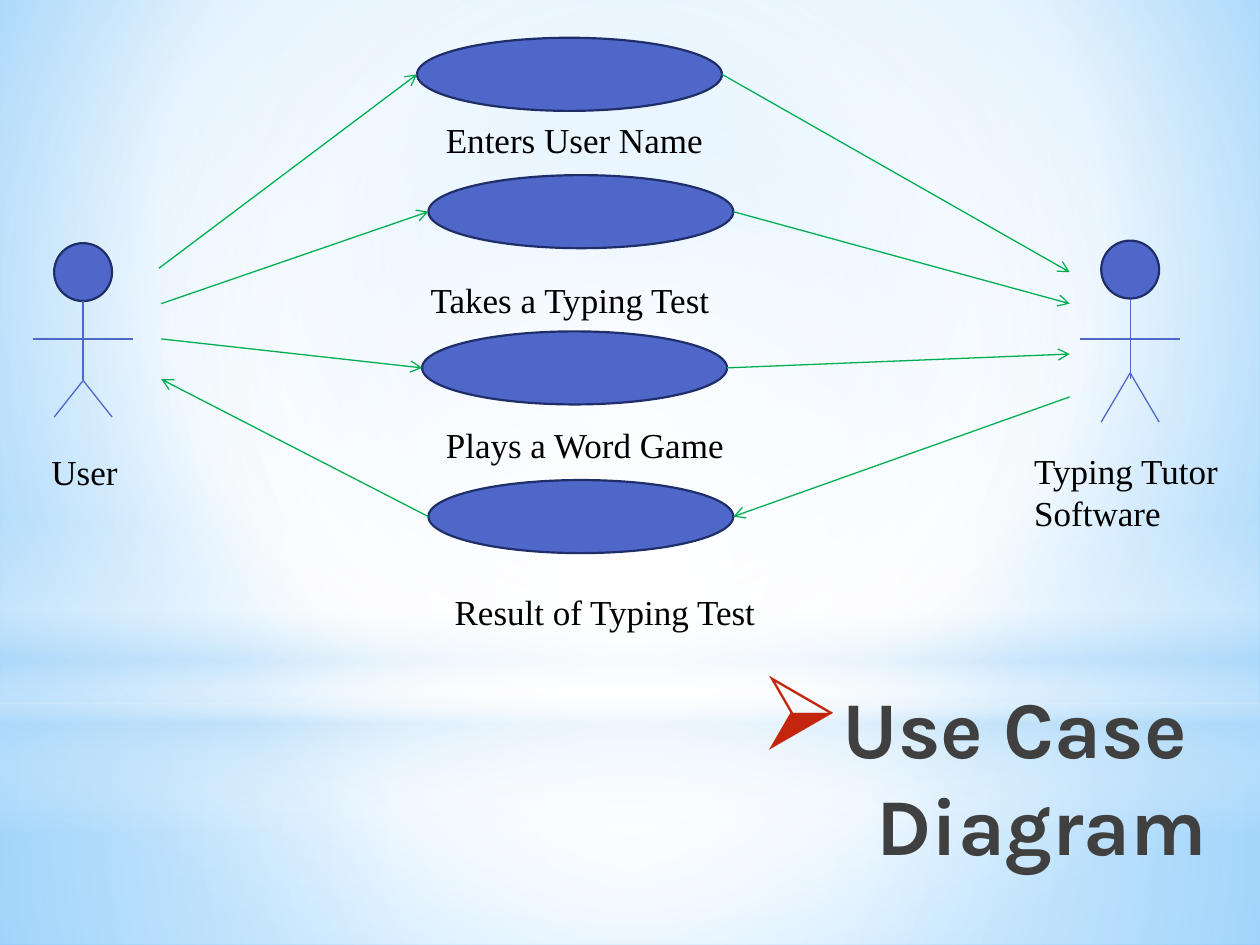
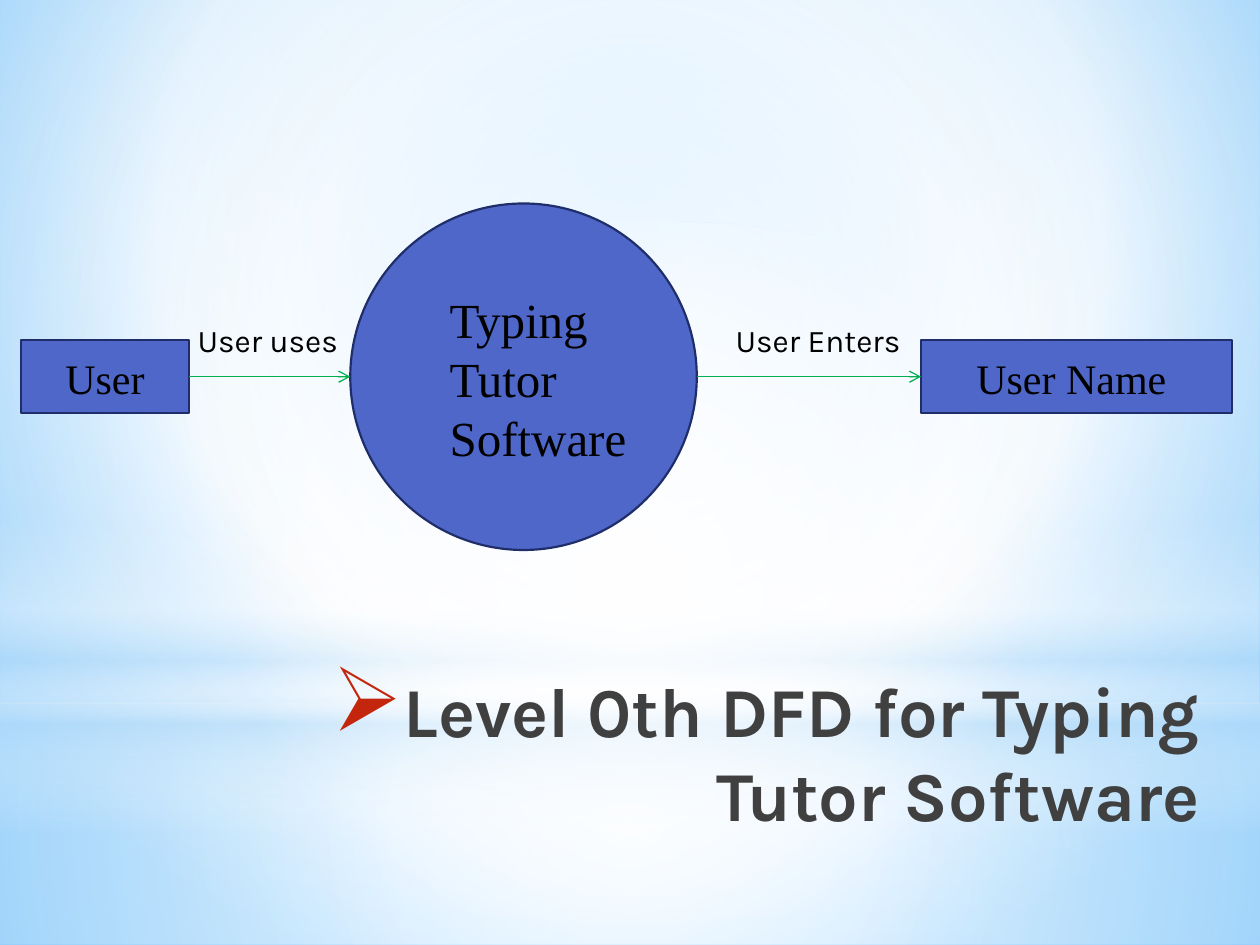
from dataclasses import dataclass
from typing import Any, NamedTuple, Optional

from lxml.etree import SubElement
from pptx import Presentation
from pptx.dml.color import RGBColor
from pptx.enum.shapes import MSO_CONNECTOR, MSO_SHAPE
from pptx.enum.text import MSO_ANCHOR, MSO_AUTO_SIZE, PP_ALIGN
from pptx.oxml.ns import qn
from pptx.util import Inches, Pt


class Stop(NamedTuple):
    position: int
    color: str
    opacity: int = 100


class Gradient(NamedTuple):
    stops: tuple[Stop, ...]
    focus: Optional[tuple[int, int, int, int]] = None  # left, top, right, bottom
    angle: int = 90


class Point(NamedTuple):
    col: float
    row: float


class Area(NamedTuple):
    col: float
    row: float
    cols: float
    rows: float

    @property
    def left_middle(self) -> Point:
        return Point(self.col, self.row + self.rows / 2)

    @property
    def right_middle(self) -> Point:
        return Point(self.col + self.cols, self.row + self.rows / 2)


@dataclass(frozen=True)
class Theme:
    fill: str = "4E67C8"
    outline: str = "1F2E69"
    flow: str = "00B050"
    ink: str = "000000"
    bullet: str = "C3260C"
    heading_font: str = "Karla"
    label_font: str = "Times New Roman"
    caption_size: int = 20
    flow_size: int = 18
    entity_size: int = 24
    process_size: int = 28
    outline_width: float = 1.25
    line_width: float = 0.75
    title_ink: Gradient = Gradient(
        (Stop(0, "000000"), Stop(40, "404040"), Stop(100, "212745", 65)))
    sky: Gradient = Gradient(
        (Stop(0, "9ED5FF"), Stop(60, "FFFFFF"), Stop(100, "5BB9FF")), (20, 10, 20, 60))


THEME = Theme()
CENTER = (50, 50, 50, 50)

# The slide is a grid of 100 columns by 75 rows
SLIDE_WIDTH, SLIDE_HEIGHT = Inches(10), Inches(7.5)
COLUMN, ROW = SLIDE_WIDTH / 100, SLIDE_HEIGHT / 75

# Light bands of the master, from back to front
BANDS = (
    (MSO_SHAPE.RECTANGLE, Area(0, 55.8, 100, 19.2), Gradient(
        (Stop(0, "FFFFFF", 91), Stop(37, "FFFFFF", 76), Stop(100, "B4DCFA", 79)), CENTER)),
    (MSO_SHAPE.RECTANGLE, Area(0, 0, 100, 55.8), Gradient(
        (Stop(0, "FFFFFF", 89), Stop(48, "FFFFFF", 62), Stop(100, "B4DCFA", 79)), CENTER)),
    (MSO_SHAPE.RECTANGLE, Area(0, 41.2, 100, 25), Gradient(
        (Stop(0, "FFFFFF", 0), Stop(29, "FFFFFF", 30), Stop(45, "B4DCFA", 40),
         Stop(55, "FFFFFF", 26), Stop(65, "B4DCFA", 60), Stop(100, "FFFFFF", 0)))),
    (MSO_SHAPE.OVAL, Area(0, 17.5, 100, 55.8), Gradient(
        (Stop(0, "FFFFFF"), Stop(56, "FFFFFF", 0)), CENTER)),
)


class UseCase(NamedTuple):
    oval: Area
    label: str
    label_area: Area
    user_end: Point
    software_end: Point
    returns: bool = False


class Actor(NamedTuple):
    name: str
    name_area: Area
    center: float
    head_top: float
    body_end: float
    hip: float
    feet: float


OVAL_SIZE = (24.2, 5.8)
USE_CASES = (
    UseCase(Area(33.1, 3, *OVAL_SIZE), "Enters User Name", Area(34.4, 8.9, 23.2, 4.4),
            Point(12.6, 21.3), Point(84.9, 21.6)),
    UseCase(Area(34, 13.9, *OVAL_SIZE), "Takes a Typing Test", Area(33.2, 21.6, 29, 4.4),
            Point(12.8, 24.1), Point(84.9, 24.1)),
    UseCase(Area(33.5, 26.3, *OVAL_SIZE), "Plays a Word Game", Area(34.4, 33.1, 27.8, 4.4),
            Point(12.8, 26.9), Point(84.9, 28.1)),
    UseCase(Area(34, 38.1, *OVAL_SIZE), "Result of Typing Test", Area(35.1, 46.4, 27.3, 4.4),
            Point(12.8, 30.1), Point(84.9, 31.5), returns=True),
)
ACTORS = (
    Actor("User", Area(3.1, 35.3, 11.6, 4.4), 6.6, 19.3, 30.2, 30.2, 33.1),
    Actor("Typing Tutor Software", Area(81.1, 35.2, 19.5, 7.7), 89.7, 19.1, 30.1, 29.6, 33.5),
)
HEAD, ARM_REACH, FOOT_REACH, ARM_ROW = 4.6, 3.95, 2.3, 26.9


def apply(target: Any, values: dict[str, Any]) -> None:
    for attribute, value in values.items():
        setattr(target, attribute, value)


def place(area: Area) -> tuple[int, int, int, int]:
    return (round(area.col * COLUMN), round(area.row * ROW),
            round(area.cols * COLUMN), round(area.rows * ROW))


def paint_gradient(fill: Any, holder: Any, gradient: Gradient) -> None:
    """Swap the solid fill inside holder for a gradient."""
    fill.solid()
    fill.fore_color.rgb = RGBColor.from_string(gradient.stops[0].color)
    solid = holder.find(qn("a:solidFill"))
    grad = SubElement(holder, qn("a:gradFill"), rotWithShape="1")
    stop_list = SubElement(grad, qn("a:gsLst"))
    for stop in gradient.stops:
        gs = SubElement(stop_list, qn("a:gs"), pos=str(stop.position * 1000))
        color = SubElement(gs, qn("a:srgbClr"), val=stop.color)
        if stop.opacity < 100:
            SubElement(color, qn("a:alpha"), val=str(stop.opacity * 1000))
    if gradient.focus:
        radial = SubElement(grad, qn("a:path"), path="circle")
        SubElement(radial, qn("a:fillToRect"),
                   {side: str(share * 1000) for side, share in zip("ltrb", gradient.focus)})
    else:
        SubElement(grad, qn("a:lin"), ang=str(gradient.angle * 60000), scaled="0")
    holder.replace(solid, grad)


def build_backdrop(master: Any, slide: Any) -> None:
    """Paint the master background and move the light bands onto the master."""
    background = master.background.fill
    paint_gradient(background, next(master.element.iter(qn("p:bgPr"))), THEME.sky)
    tree = master.shapes.element
    for order, (outline, area, gradient) in enumerate(BANDS):
        band = slide.shapes.add_shape(outline, *place(area))
        band.shadow.inherit = False
        band.line.fill.background()
        paint_gradient(band.fill, band.element.spPr, gradient)
        band.element.nvSpPr.cNvPr.set("id", str(100 + order))
        tree.insert(2 + order, band.element)


def set_title(slide: Any, text: str, area: Area, size: int) -> None:
    title = slide.shapes.title
    apply(title, dict(zip(("left", "top", "width", "height"), place(area))))
    frame = title.text_frame
    frame.text = text
    apply(frame, {"word_wrap": True, "auto_size": MSO_AUTO_SIZE.NONE,
                  "vertical_anchor": MSO_ANCHOR.TOP})
    paragraph = frame.paragraphs[0]
    paragraph.alignment = PP_ALIGN.RIGHT
    for run in paragraph.runs:
        apply(run.font, {"name": THEME.heading_font, "size": Pt(size), "bold": True})
        paint_gradient(run.font.fill, run.font._element, THEME.title_ink)
    # Arrow bullet with a hanging indent
    properties = paragraph._p.get_or_add_pPr()
    indent = Inches(0.35)
    properties.set("marL", str(indent))
    properties.set("indent", str(-indent))
    bullet_color = SubElement(properties, qn("a:buClr"))
    SubElement(bullet_color, qn("a:srgbClr"), val=THEME.bullet)
    SubElement(properties, qn("a:buSzPct"), val="128000")
    SubElement(properties, qn("a:buChar"), char="➢")


def add_node(slide: Any, outline: MSO_SHAPE, area: Area) -> Any:
    node = slide.shapes.add_shape(outline, *place(area))
    node.shadow.inherit = False
    node.fill.solid()
    node.fill.fore_color.rgb = RGBColor.from_string(THEME.fill)
    node.line.color.rgb = RGBColor.from_string(THEME.outline)
    node.line.width = Pt(THEME.outline_width)
    return node


def add_line(slide: Any, start: Point, end: Point, color: str = THEME.fill,
             arrow: bool = False) -> Any:
    ends = [round(length) for point in (start, end)
            for length in (point.col * COLUMN, point.row * ROW)]
    line = slide.shapes.add_connector(MSO_CONNECTOR.STRAIGHT, *ends)
    line.line.color.rgb = RGBColor.from_string(color)
    line.line.width = Pt(THEME.line_width)
    if arrow:
        SubElement(line.line._get_or_add_ln(), qn("a:tailEnd"), type="arrow")
    SubElement(line.element.spPr, qn("a:effectLst"))
    return line


def add_flow(slide: Any, start: Point, end: Point) -> Any:
    return add_line(slide, start, end, THEME.flow, arrow=True)


def add_label(slide: Any, text: str, area: Area, size: int,
              font: str = THEME.label_font) -> None:
    frame = slide.shapes.add_textbox(*place(area)).text_frame
    frame.text = text
    apply(frame, {"word_wrap": True, "auto_size": MSO_AUTO_SIZE.SHAPE_TO_FIT_TEXT})
    label_font = frame.paragraphs[0].runs[0].font
    apply(label_font, {"name": font, "size": Pt(size)})
    label_font.color.rgb = RGBColor.from_string(THEME.ink)


def add_actor(slide: Any, actor: Actor) -> None:
    center = actor.center
    add_node(slide, MSO_SHAPE.OVAL, Area(center - HEAD / 2, actor.head_top, HEAD, HEAD))
    add_line(slide, Point(center, actor.head_top + HEAD), Point(center, actor.body_end))
    add_line(slide, Point(center - ARM_REACH, ARM_ROW), Point(center + ARM_REACH, ARM_ROW))
    for reach in (-FOOT_REACH, FOOT_REACH):
        add_line(slide, Point(center, actor.hip), Point(center + reach, actor.feet))
    add_label(slide, actor.name, actor.name_area, THEME.caption_size)


def build_use_case_slide(slide: Any) -> None:
    set_title(slide, "Use Case \vDiagram", Area(22.6, 53.3, 74.2, 18.9), 46)
    for case in USE_CASES:
        add_node(slide, MSO_SHAPE.OVAL, case.oval)
        add_label(slide, case.label, case.label_area, THEME.caption_size)
        route = [case.user_end, case.oval.left_middle,
                 case.oval.right_middle, case.software_end]
        if case.returns:
            route.reverse()
        add_flow(slide, *route[:2])
        add_flow(slide, *route[2:])
    for actor in ACTORS:
        add_actor(slide, actor)


def build_data_flow_slide(slide: Any) -> None:
    set_title(slide, "Level 0th DFD for Typing Tutor Software",
              Area(25, 52.5, 71.2, 18.9), 40)
    process_area = Area(27.8, 16.15, 27.5, 27.5)
    user_area = Area(1.7, 27, 13.3, 5.8)
    name_area = Area(73.1, 27, 24.7, 5.8)
    add_node(slide, MSO_SHAPE.OVAL, process_area)
    user = add_node(slide, MSO_SHAPE.RECTANGLE, user_area)
    user_name = add_node(slide, MSO_SHAPE.RECTANGLE, name_area)

    # Flows into and out of the process
    uses = add_flow(slide, user_area.right_middle, process_area.left_middle)
    uses.begin_connect(user, 3)
    enters = add_flow(slide, process_area.right_middle, name_area.left_middle)
    enters.end_connect(user_name, 1)

    # Labels of the flows and of the nodes
    for text, area in (("User uses", Area(14.7, 25, 13.3, 4)),
                       ("User Enters", Area(57.4, 25, 15.8, 4))):
        add_label(slide, text, area, THEME.flow_size, THEME.heading_font)
    for text, area, size in (
            ("User", Area(4.2, 27.5, 8.3, 5), THEME.entity_size),
            ("Typing Tutor Software", Area(34.7, 22.5, 16.2, 15.1), THEME.process_size),
            ("User Name", Area(76.5, 27.5, 18.2, 5), THEME.entity_size)):
        add_label(slide, text, area, size)


def main() -> None:
    deck = Presentation()
    apply(deck, {"slide_width": SLIDE_WIDTH, "slide_height": SLIDE_HEIGHT})
    title_only = deck.slide_layouts[5]
    use_case_slide, data_flow_slide = (deck.slides.add_slide(title_only) for _ in range(2))
    build_backdrop(deck.slide_master, use_case_slide)
    build_use_case_slide(use_case_slide)
    build_data_flow_slide(data_flow_slide)
    deck.save("out.pptx")


if __name__ == "__main__":
    main()
